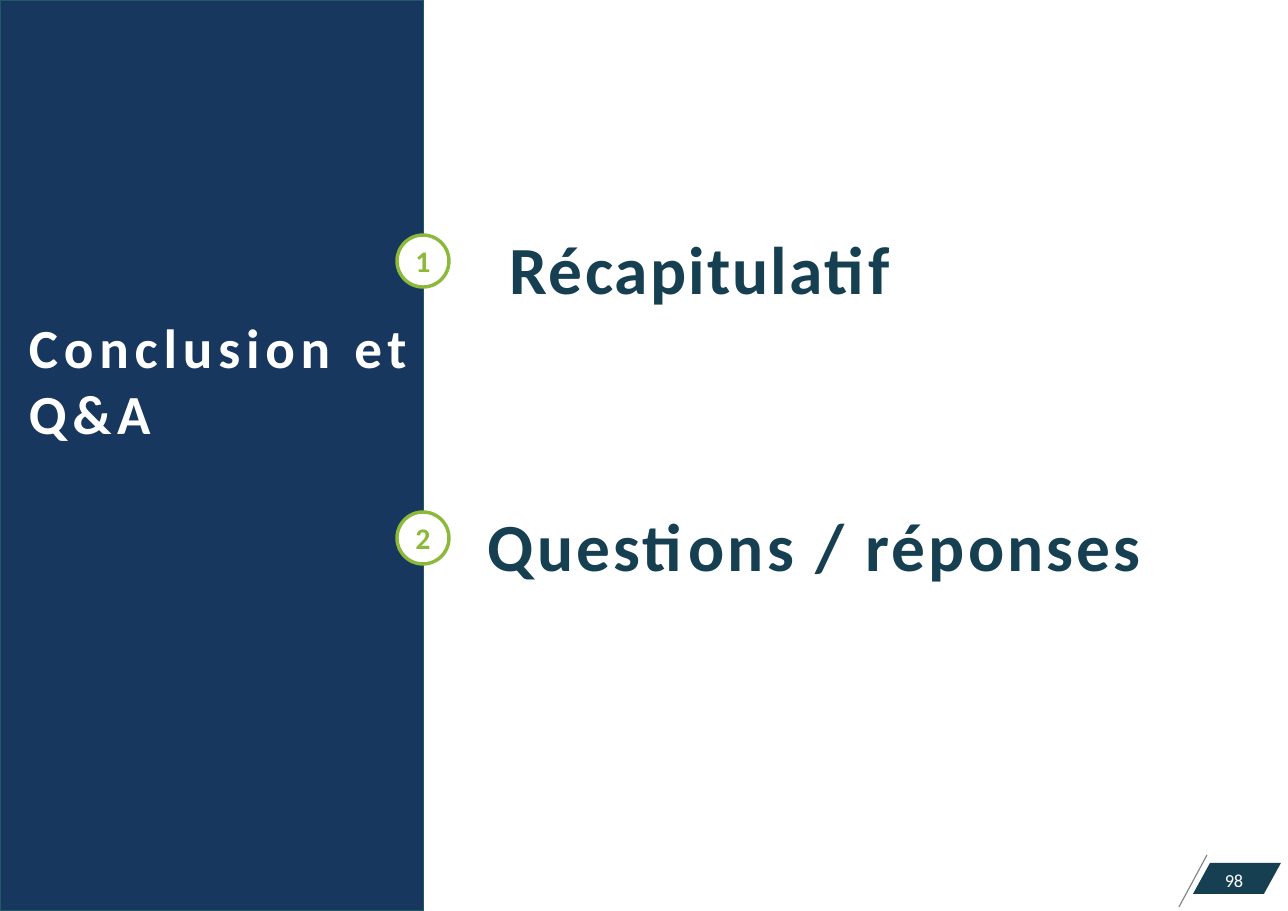
from pptx import Presentation
from pptx.dml.color import RGBColor
from pptx.enum.shapes import MSO_CONNECTOR, MSO_SHAPE
from pptx.enum.text import MSO_ANCHOR, PP_ALIGN
from pptx.oxml.ns import qn
from pptx.util import Pt
from lxml import etree

RECT, OVAL, SLANT = MSO_SHAPE.RECTANGLE, MSO_SHAPE.OVAL, MSO_SHAPE.PARALLELOGRAM
LINE = MSO_CONNECTOR.STRAIGHT
LEFT, CENTER = PP_ALIGN.LEFT, PP_ALIGN.CENTER
TOP, MIDDLE = MSO_ANCHOR.TOP, MSO_ANCHOR.MIDDLE

PX = 8290
THEME = {
    "font": "Calibri",
    "navy": "17375E", "edge": "215968", "teal": "164052",
    "green": "8CB939", "gray": "828385", "white": "FFFFFF",
    "title": 36, "topic": 44, "badge": 19.5, "page": 12,
}

deck = Presentation()
deck.slide_width, deck.slide_height = 1288 * PX, 911 * PX
slide = deck.slides.add_slide(deck.slide_layouts[6])
shapes = slide.shapes


def add_form(kind, x, y, w, h, fill, edge=None, weight=0):
    form = shapes.add_shape(kind, x * PX, y * PX, w * PX, h * PX)
    form.shadow.inherit = False
    form.fill.solid()
    form.fill.fore_color.rgb = RGBColor.from_string(THEME[fill])
    if edge:
        form.line.color.rgb = RGBColor.from_string(THEME[edge])
        form.line.width = Pt(weight)
    else:
        form.line.fill.background()
    return form


def write(form, text, size, color, gap, bold=True, align=LEFT, anchor=TOP):
    frame = form.text_frame
    frame.word_wrap = True
    frame.margin_left = frame.margin_right = 0
    frame.margin_top = frame.margin_bottom = 0
    frame.vertical_anchor = anchor
    para = frame.paragraphs[0]
    para.alignment = align
    run = para.add_run()
    run.text = text
    run.font.name = THEME["font"]
    run.font.size = Pt(THEME[size])
    run.font.bold = bold
    run.font.color.rgb = RGBColor.from_string(THEME[color])
    # Letter spacing in hundredths of a point
    run._r.get_or_add_rPr().set("spc", str(gap))


# Page number tag with its slanted rule
rule = shapes.add_connector(LINE, 1207 * PX, 855 * PX, 1179 * PX, 907 * PX)
rule.line.color.rgb = RGBColor.from_string(THEME["gray"])
rule.line.width = Pt(0.75)
etree.SubElement(rule._element.spPr, qn("a:effectLst"))
tag = add_form(SLANT, 1193, 863, 88, 31, "teal")
tag.adjustments[0] = 0.55
page = shapes.add_textbox(1225 * PX, 869 * PX, 40 * PX, 22 * PX)
write(page, "98", "page", "white", -20, bold=False)

# Side panel and title
add_form(RECT, 0, 0, 424, 911, "navy", "edge", 0.75)
title = shapes.add_textbox(29 * PX, 313 * PX, 420 * PX, 134 * PX)
write(title, "Conclusion et Q&A", "title", "white", 380)

# Numbered topics
topics = [("Récapitulatif", 510, 722, 140), ("Questions / réponses", 488, 761, 200)]
for i, (text, x, w, gap) in enumerate(topics):
    y = 235 + 277 * i
    badge = add_form(OVAL, 397, y, 52, 52, "white", "green", 2.25)
    write(badge, str(i + 1), "badge", "green", 60, align=CENTER, anchor=MIDDLE)
    topic = shapes.add_textbox(x * PX, (y - 8) * PX, w * PX, 82 * PX)
    write(topic, text, "topic", "teal", gap)

deck.save("out.pptx")
